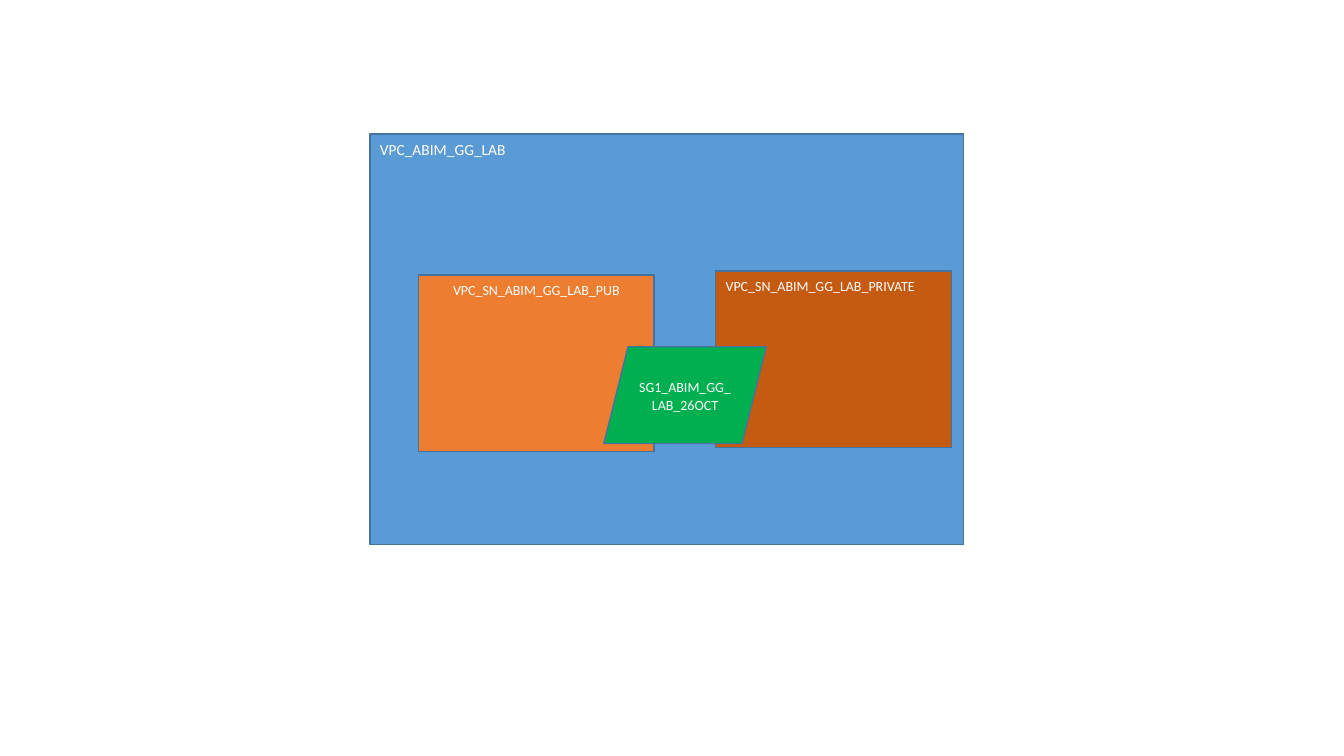
import dataclasses

import pptx
import pptx.dml.color
import pptx.enum.shapes
import pptx.enum.text
import pptx.slide
import pptx.util

Shape = pptx.enum.shapes.MSO_SHAPE
Align = pptx.enum.text.PP_ALIGN
Anchor = pptx.enum.text.MSO_ANCHOR

SLIDE_WIDTH = pptx.util.Inches(13.333)
SLIDE_HEIGHT = pptx.util.Inches(7.5)


@dataclasses.dataclass(frozen=True)
class Theme:
    font: str = "Calibri"
    network: str = "5B9BD5"
    public: str = "ED7D31"
    private: str = "C55A11"
    security: str = "00B050"
    outline: str = "43739E"
    text: str = "FFFFFF"
    network_size: int = 11
    inner_size: int = 10


THEME = Theme()


@dataclasses.dataclass(frozen=True)
class Zone:
    """A labelled area; lengths are percentages of the slide's size."""
    label: str
    left: float
    top: float
    width: float
    height: float
    fill: str
    size: int = THEME.inner_size
    outline: Shape = Shape.RECTANGLE
    align: Align = Align.LEFT
    anchor: Anchor = Anchor.TOP


# Both subnets share one size
SUBNET_WIDTH, SUBNET_HEIGHT = 17.55, 23.33

# Network first, then its subnets, then the security group across them
ZONES = [
    Zone("VPC_ABIM_GG_LAB", 27.53, 17.73, 44.18, 54.27, THEME.network,
         size=THEME.network_size),
    Zone("VPC_SN_ABIM_GG_LAB_PUB", 31.13, 36.4, SUBNET_WIDTH, SUBNET_HEIGHT,
         THEME.public, align=Align.CENTER),
    Zone("VPC_SN_ABIM_GG_LAB_PRIVATE", 53.25, 35.87, SUBNET_WIDTH,
         SUBNET_HEIGHT, THEME.private),
    Zone("SG1_ABIM_GG_LAB_26OCT", 44.93, 45.87, 12.08, 12.8, THEME.security,
         outline=Shape.PARALLELOGRAM, align=Align.CENTER,
         anchor=Anchor.MIDDLE),
]


def color(code: str) -> pptx.dml.color.RGBColor:
    return pptx.dml.color.RGBColor.from_string(code)


def across(percent: float) -> int:
    return round(SLIDE_WIDTH * percent / 100)


def down(percent: float) -> int:
    return round(SLIDE_HEIGHT * percent / 100)


def draw_zone(slide: pptx.slide.Slide, zone: Zone) -> None:
    area = slide.shapes.add_shape(
        zone.outline, across(zone.left), down(zone.top),
        across(zone.width), down(zone.height))
    area.shadow.inherit = False
    area.fill.solid()
    area.fill.fore_color.rgb = color(zone.fill)
    area.line.color.rgb = color(THEME.outline)
    area.line.width = pptx.util.Pt(1)

    # Label
    frame = area.text_frame
    frame.text = zone.label
    frame.word_wrap = True
    frame.vertical_anchor = zone.anchor
    label = frame.paragraphs[0]
    label.alignment = zone.align
    label.line_spacing = 1.07
    label.space_after = pptx.util.Pt(8)
    font = label.runs[0].font
    font.name = THEME.font
    font.size = pptx.util.Pt(zone.size)
    font.color.rgb = color(THEME.text)


def main() -> None:
    deck = pptx.Presentation()
    deck.slide_width = SLIDE_WIDTH
    deck.slide_height = SLIDE_HEIGHT
    blank_layout = deck.slide_layouts[6]
    slide = deck.slides.add_slide(blank_layout)
    for zone in ZONES:
        draw_zone(slide, zone)
    deck.save("out.pptx")


if __name__ == "__main__":
    main()
